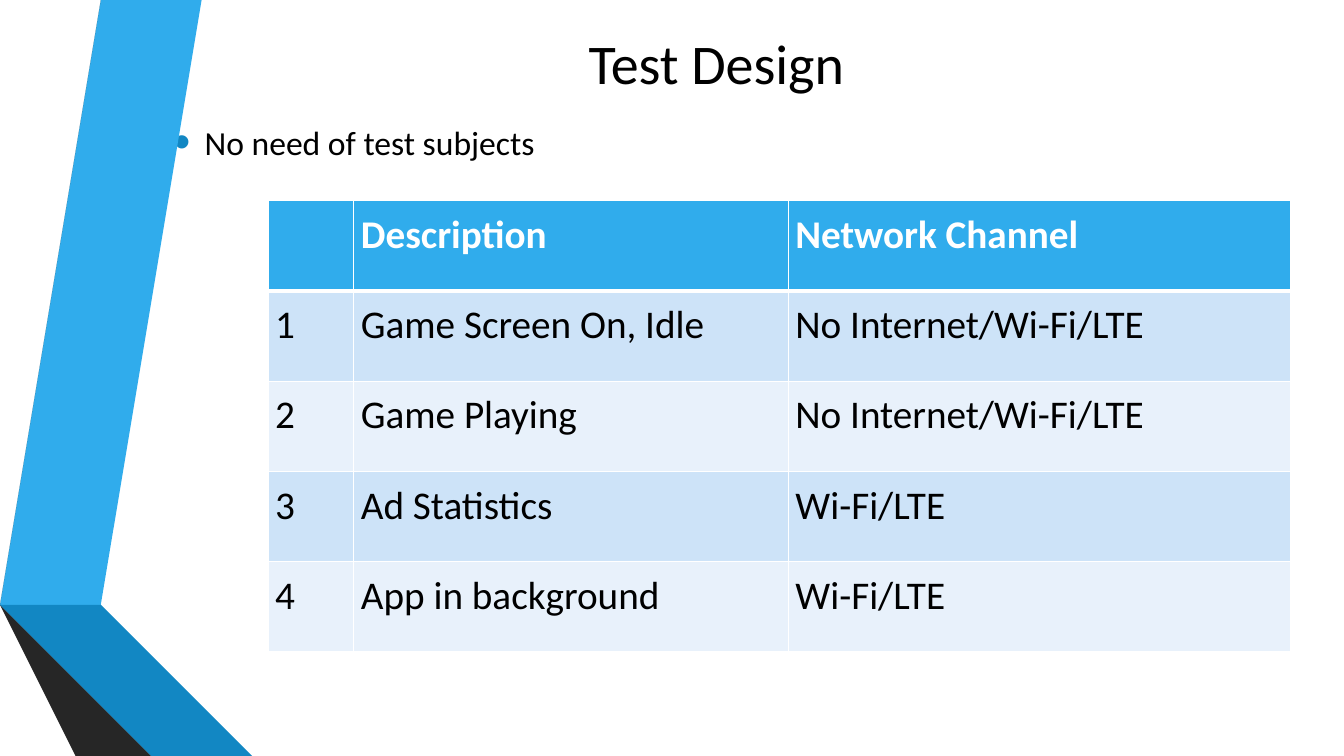
from lxml import etree
from pptx import Presentation
from pptx.dml.color import RGBColor
from pptx.enum.text import MSO_ANCHOR, MSO_AUTO_SIZE, PP_ALIGN
from pptx.oxml.ns import qn
from pptx.util import Inches, Pt

COLORS = {
    "black": "000000", "white": "FFFFFF",
    "blue": "30ACEC", "mid_blue": "1287C3", "deep_blue": "0C5A82",
    "gray": "595959", "dark_gray": "404040", "darkest_gray": "262626",
    "band_dark": "CDE3F8", "band_light": "E8F1FB",
}


def style_text(paragraph, size, color="black", bold=False):
    font = paragraph.font
    font.name, font.size, font.bold = "Calibri", Pt(size), bold
    font.color.rgb = RGBColor.from_string(COLORS[color])


def add_border(cell, side, width):
    line = etree.SubElement(cell._tc.get_or_add_tcPr(), qn(f"a:{side}"), w=str(Pt(width)))
    fill = etree.SubElement(line, qn("a:solidFill"))
    etree.SubElement(fill, qn("a:srgbClr"), val=COLORS["white"])


presentation = Presentation()
presentation.slide_width, presentation.slide_height = Inches(13.33), Inches(7.5)
slide = presentation.slides.add_slide(presentation.slide_layouts[1])

# Folded ribbons on the left, from back to front
ribbons = [
    ("blue", [(0.5, 5.78), (0.77, 5.83), (1.73, 0), (1.45, 0)]),
    ("gray", [(1.39, 0), (1.11, 0), (0.16, 5.73), (0.44, 5.77)]),
    ("darkest_gray", [(0.16, 5.73), (1.45, 7.5), (1.51, 7.5)]),
    ("deep_blue", [(0.5, 5.79), (2.08, 7.5), (2.14, 7.5)]),
    ("mid_blue", [(0.5, 5.79), (2.14, 7.5), (2.83, 7.5), (0.77, 5.83), (0.5, 5.78)]),
    ("dark_gray", [(2.02, 7.5), (0.48, 5.83), (0.43, 5.77), (0.16, 5.73), (1.51, 7.5)]),
]
for color, points in ribbons:
    builder = slide.shapes.build_freeform(*points[0], scale=Inches(1))
    builder.add_line_segments(points[1:], close=True)
    shape = builder.convert_to_shape()
    shape.shadow.inherit = False
    shape.fill.solid()
    shape.fill.fore_color.rgb = RGBColor.from_string(COLORS[color])
    shape.line.fill.background()

# Title and bullet
title, body = slide.shapes.title, slide.placeholders[1]
for placeholder, text, box in [
    (title, "Test Design", (5.46, 0.18, 3.29, 0.87)),
    (body, "No need of test subjects", (1.62, 0.81, 10.96, 1.2)),
]:
    placeholder.left, placeholder.top, placeholder.width, placeholder.height = map(Inches, box)
    frame = placeholder.text_frame
    frame.text = text
    frame.word_wrap = True
    frame.auto_size = MSO_AUTO_SIZE.NONE
    frame.vertical_anchor = MSO_ANCHOR.MIDDLE

heading = title.text_frame.paragraphs[0]
heading.alignment = PP_ALIGN.CENTER
style_text(heading, 40)

bullet = body.text_frame.paragraphs[0]
properties = bullet._p.get_or_add_pPr()
properties.set("marL", str(Inches(0.31)))
properties.set("indent", str(-Inches(0.31)))
bullet_color = etree.SubElement(properties, qn("a:buClr"))
etree.SubElement(bullet_color, qn("a:srgbClr"), val=COLORS["mid_blue"])
etree.SubElement(properties, qn("a:buSzPct"), val="145000")
etree.SubElement(properties, qn("a:buFont"), typeface="Arial")
etree.SubElement(properties, qn("a:buChar"), char="•")
bullet.space_before, bullet.space_after = Pt(4.8), Pt(6)
style_text(bullet, 24)

# Table of test cases
rows = [
    ("", "Description", "Network Channel"),
    ("1", "Game Screen On, Idle", "No Internet/Wi-Fi/LTE"),
    ("2", "Game Playing", "No Internet/Wi-Fi/LTE"),
    ("3", "Ad Statistics", "Wi-Fi/LTE"),
    ("4", "App in background", "Wi-Fi/LTE"),
]
column_widths = [0.85, 4.31, 4.98]
table = slide.shapes.add_table(len(rows), len(column_widths), Inches(2.66), Inches(1.99),
                               Inches(sum(column_widths)), Inches(4.48)).table
for column, width in zip(table.columns, column_widths):
    column.width = Inches(width)

for row_index, row in enumerate(rows):
    is_header = row_index == 0
    band = "blue" if is_header else ("band_light", "band_dark")[row_index % 2]
    for column_index, text in enumerate(row):
        cell = table.cell(row_index, column_index)
        cell.margin_left = cell.margin_right = Inches(0.07)
        cell.margin_top = cell.margin_bottom = Inches(0.07)
        for side in ("lnL", "lnR", "lnT", "lnB"):
            thick = (is_header and side == "lnB") or (row_index == 1 and side == "lnT")
            add_border(cell, side, 3 if thick else 1)
        cell.fill.solid()
        cell.fill.fore_color.rgb = RGBColor.from_string(COLORS[band])
        cell.text = text
        paragraph = cell.text_frame.paragraphs[0]
        paragraph.line_spacing = 1.07
        style_text(paragraph, 28, "white" if is_header else "black", is_header)

presentation.save("out.pptx")
